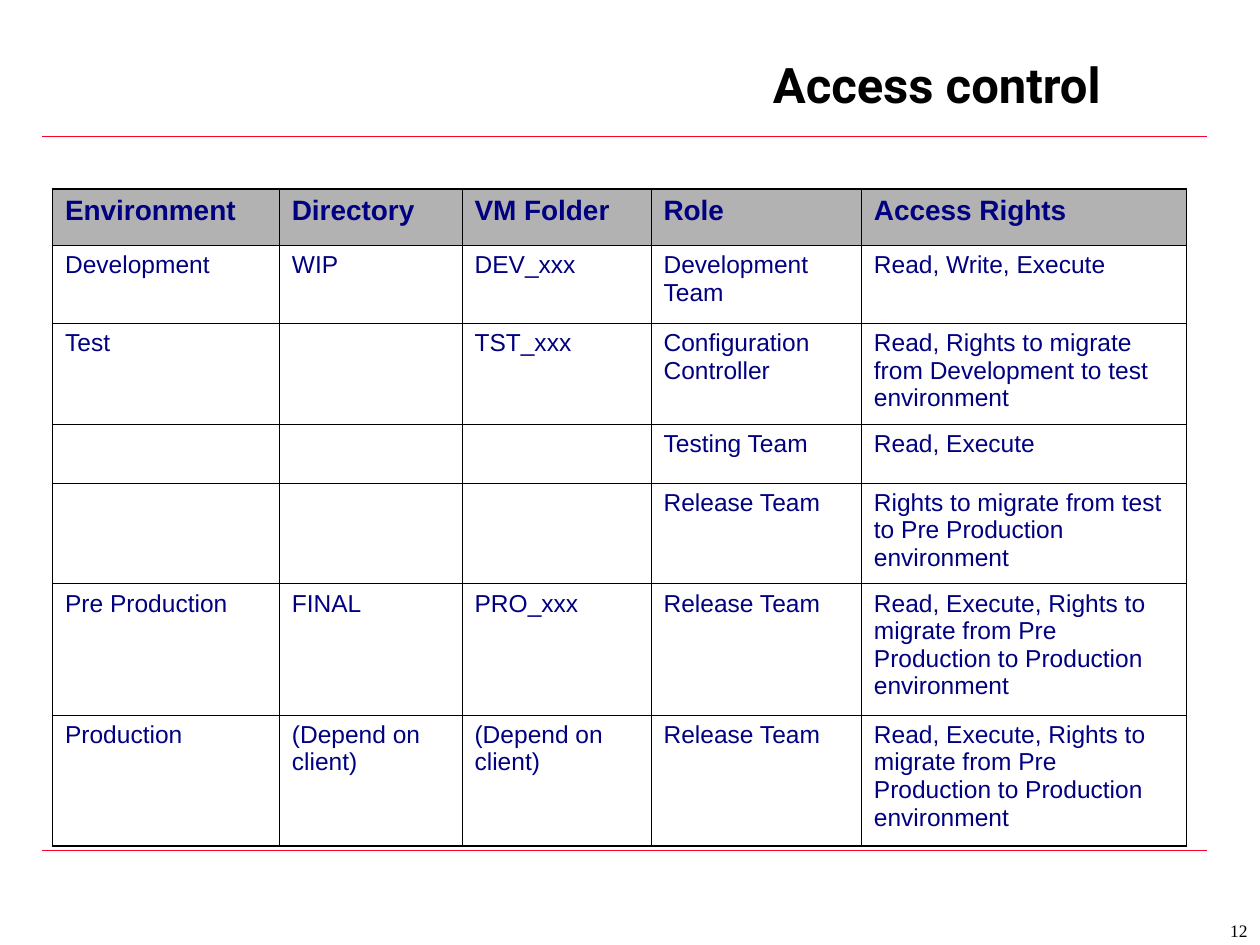
"""Build the access control slide with its table of environments and rights."""
import dataclasses
import typing

import lxml.etree
import pptx
import pptx.dml.color
import pptx.enum.shapes
import pptx.enum.text
import pptx.oxml.ns
import pptx.util

Pt = pptx.util.Pt
Align = pptx.enum.text.PP_ALIGN
Anchor = pptx.enum.text.MSO_ANCHOR


@dataclasses.dataclass(frozen=True)
class Theme:
    ink: str = "000000"
    navy: str = "000080"
    header_fill: str = "B2B2B2"
    rule: str = "FC0128"
    title_font: str = "Roboto"
    table_font: str = "Arial"
    number_font: str = "Times New Roman"
    title_size: float = 28
    header_size: float = 16
    body_size: float = 14
    number_size: float = 10
    rule_width: float = 0.75
    inner_border: float = 0.45
    outer_border: float = 1.08


class Box(typing.NamedTuple):
    left: float
    top: float
    width: float
    height: float


class Access(typing.NamedTuple):
    height: float
    environment: str
    directory: str
    vm_folder: str
    role: str
    rights: str


THEME = Theme()
TABLE_LEFT, TABLE_TOP = 30, 108
COLUMN_WIDTHS = (129.6, 104.4, 108, 120.2, 185.8)
RULE_LEFT, RULE_RIGHT = 24, 690
RULE_TOPS = (78, 486)
TO_PRODUCTION = "Read, Execute, Rights to migrate from Pre Production to Production environment"
ACCESS_ROWS = (
    Access(32, "Environment", "Directory", "VM Folder", "Role", "Access Rights"),
    Access(44.6, "Development", "WIP", "DEV_xxx", "Development Team", "Read, Write, Execute"),
    Access(57.7, "Test", "", "TST_xxx", "Configuration Controller",
           "Read, Rights to migrate from Development to test environment"),
    Access(33.7, "", "", "", "Testing Team", "Read, Execute"),
    Access(57.7, "", "", "", "Release Team",
           "Rights to migrate from test to Pre Production environment"),
    Access(74.9, "Pre Production", "FINAL", "PRO_xxx", "Release Team", TO_PRODUCTION),
    Access(74.9, "Production", "(Depend on client)", "(Depend on client)", "Release Team",
           TO_PRODUCTION),
)


def rgb(value: str) -> pptx.dml.color.RGBColor:
    """Turn a hex string into a colour."""
    return pptx.dml.color.RGBColor.from_string(value)


def write_text(frame, text: str, *, font: str, size: float, color: str, bold: bool = False,
               align=Align.LEFT, anchor=Anchor.TOP, space_before: float = 0) -> None:
    """Write one formatted paragraph into a text frame."""
    frame.word_wrap = True
    frame.vertical_anchor = anchor
    paragraph = frame.paragraphs[0]
    paragraph.alignment = align
    paragraph.space_before = Pt(space_before)
    run = paragraph.add_run()
    run.text = text
    run.font.name = font
    run.font.size = Pt(size)
    run.font.bold = bold
    run.font.color.rgb = rgb(color)


def add_text(slide, box: Box, text: str, **text_format) -> None:
    """Add a text box holding one paragraph."""
    textbox = slide.shapes.add_textbox(*map(Pt, box))
    write_text(textbox.text_frame, text, **text_format)


def add_rule(slide, top: float) -> None:
    """Draw a horizontal rule across the slide."""
    rule = slide.shapes.add_connector(
        pptx.enum.shapes.MSO_CONNECTOR.STRAIGHT, Pt(RULE_LEFT), Pt(top), Pt(RULE_RIGHT), Pt(top))
    rule.line.color.rgb = rgb(THEME.rule)
    rule.line.width = Pt(THEME.rule_width)
    properties = rule._element.spPr
    lxml.etree.SubElement(properties, pptx.oxml.ns.qn("a:effectLst"))


def add_borders(cell, on_outside: dict[str, bool]) -> None:
    """Draw the four cell borders, heavier along the outside of the table."""
    qn = pptx.oxml.ns.qn
    properties = cell._tc.get_or_add_tcPr()
    for side, outside in on_outside.items():
        width = THEME.outer_border if outside else THEME.inner_border
        border = lxml.etree.SubElement(properties, qn(f"a:ln{side}"), w=str(int(Pt(width))))
        fill = lxml.etree.SubElement(border, qn("a:solidFill"))
        lxml.etree.SubElement(fill, qn("a:srgbClr"), val=THEME.ink)


def add_access_table(slide, rows: tuple[Access, ...]) -> None:
    """Add the table of environments, roles and rights."""
    table = slide.shapes.add_table(
        len(rows), len(COLUMN_WIDTHS), Pt(TABLE_LEFT), Pt(TABLE_TOP),
        Pt(sum(COLUMN_WIDTHS)), Pt(sum(row.height for row in rows))).table
    table.first_row = table.horz_banding = False
    for column, width in zip(table.columns, COLUMN_WIDTHS):
        column.width = Pt(width)
    for row_index, (height, *entries) in enumerate(rows):
        table.rows[row_index].height = Pt(height)
        is_header = row_index == 0
        size = THEME.header_size if is_header else THEME.body_size
        for column_index, entry in enumerate(entries):
            cell = table.cell(row_index, column_index)
            add_borders(cell, {"L": column_index == 0, "R": column_index == len(entries) - 1,
                               "T": is_header, "B": row_index == len(rows) - 1})
            if is_header:
                cell.fill.solid()
                cell.fill.fore_color.rgb = rgb(THEME.header_fill)
            else:
                cell.fill.background()
            if entry:
                write_text(cell.text_frame, entry, font=THEME.table_font, size=size,
                           color=THEME.navy, bold=is_header, space_before=size / 4)


def main() -> None:
    """Build and save the slide."""
    presentation = pptx.Presentation()
    presentation.slide_width, presentation.slide_height = Pt(720), Pt(540)
    slide = presentation.slides.add_slide(presentation.slide_layouts[6])
    for top in RULE_TOPS:
        add_rule(slide, top)
    add_text(slide, Box(24, 18, 612, 60), "Access control", font=THEME.title_font,
             size=THEME.title_size, color=THEME.ink, bold=True, align=Align.RIGHT,
             anchor=Anchor.MIDDLE)
    add_access_table(slide, ACCESS_ROWS)
    add_text(slide, Box(570, 522, 150, 18), "12", font=THEME.number_font,
             size=THEME.number_size, color=THEME.ink, align=Align.RIGHT)
    presentation.save("out.pptx")


if __name__ == "__main__":
    main()
